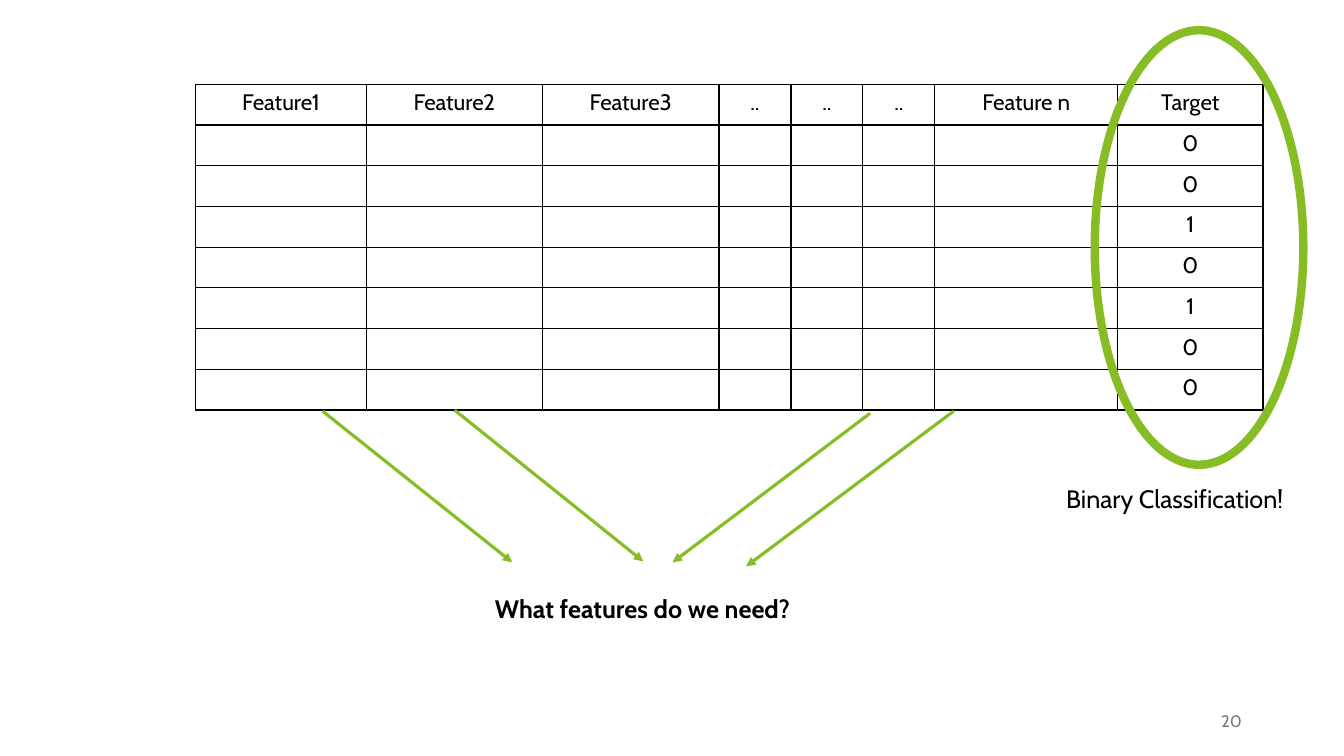
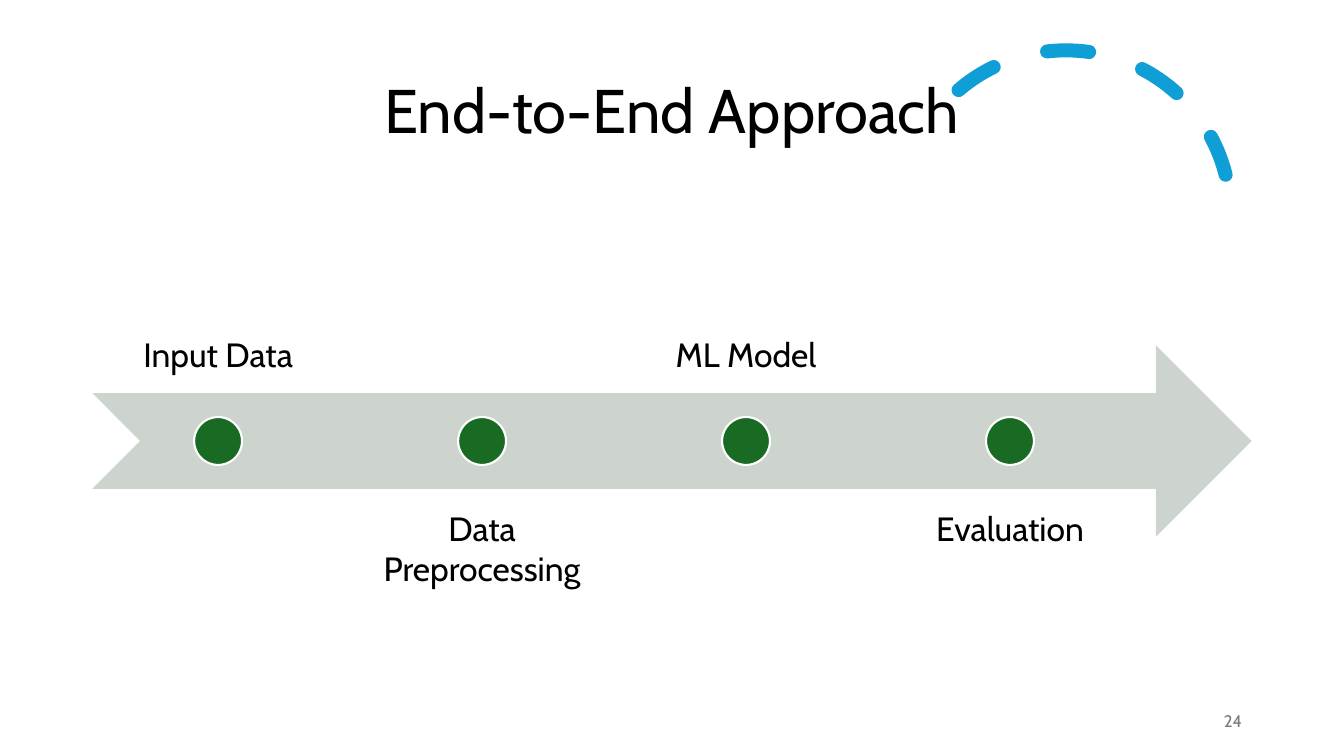
from lxml.etree import SubElement
from pptx import Presentation
from pptx.dml.color import RGBColor
from pptx.enum.dml import MSO_LINE
from pptx.enum.shapes import MSO_CONNECTOR, MSO_SHAPE
from pptx.enum.text import MSO_ANCHOR, PP_ALIGN
from pptx.oxml.ns import qn
from pptx.util import Pt

FONT = "Cabin"
BLACK = RGBColor(0x00, 0x00, 0x00)
WHITE = RGBColor(0xFF, 0xFF, 0xFF)
GREY = RGBColor(0x79, 0x79, 0x79)
LIME = RGBColor(0x86, 0xBD, 0x24)
BLUE = RGBColor(0x0F, 0x9E, 0xD5)
GREEN = RGBColor(0x19, 0x6B, 0x24)
PALE_GREEN = RGBColor(0xCC, 0xD4, 0xCD)

COLUMNS = [("Feature1", 121.8), ("Feature2", 126), ("Feature3", 126),
           ("..", 51.4), ("..", 51.4), ("..", 51.4),
           ("Feature n", 130.6), ("Target", 103.8)]
TARGETS = ["0", "0", "1", "0", "1", "0", "0"]
ROW_HEIGHT = 29.1
ARROWS = [((90.7, 0.7), (226.1, 108.7)), ((541.4, 0.7), (393.1, 111.6)),
          ((185, 0), (319.7, 108)), ((481.7, 2.2), (340.6, 108.7))]
STEPS = ["Input Data", "Data Preprocessing", "ML Model", "Evaluation"]


def style_text(p, size, color=BLACK, align=PP_ALIGN.LEFT, bold=False):
    """Set the alignment and font of a paragraph."""
    p.alignment = align
    p.font.name = FONT
    p.font.size = Pt(size)
    p.font.bold = bold
    p.font.color.rgb = color


def add_text(shapes, box, text, size, anchor=MSO_ANCHOR.TOP, inset=None, spacing=None, **style):
    """Add a wrapped one-paragraph text box."""
    tf = shapes.add_textbox(*map(Pt, box)).text_frame
    tf.word_wrap = True
    tf.vertical_anchor = anchor
    if inset is not None:
        tf.margin_left = tf.margin_top = tf.margin_right = tf.margin_bottom = Pt(inset)
    p = tf.paragraphs[0]
    p.text = text
    style_text(p, size, **style)
    if spacing:
        p.line_spacing = spacing


def add_shape(shapes, kind, box, fill=None, line=None, width=1):
    """Add a preset shape without shadow, with optional fill and line."""
    sp = shapes.add_shape(kind, *map(Pt, box))
    sp.shadow.inherit = False
    if fill is None:
        sp.fill.background()
    else:
        sp.fill.solid()
        sp.fill.fore_color.rgb = fill
    if line is None:
        sp.line.fill.background()
    else:
        sp.line.color.rgb = line
        sp.line.width = Pt(width)
    return sp


def add_arrow(shapes, start, end):
    """Add a lime connector with a triangle at its end."""
    cx = shapes.add_connector(MSO_CONNECTOR.STRAIGHT, *map(Pt, (*start, *end)))
    cx.line.color.rgb = LIME
    cx.line.width = Pt(2.25)
    pr = cx._element.spPr
    SubElement(pr.find(qn("a:ln")), qn("a:tailEnd"), type="triangle")
    SubElement(pr, qn("a:effectLst"))


def border_cell(cell):
    """Draw thin black borders around a cell and clear its fill."""
    pr = cell._tc.get_or_add_tcPr()
    for side in ("lnL", "lnR", "lnT", "lnB"):
        ln = SubElement(pr, qn(f"a:{side}"), w=str(Pt(1)))
        SubElement(SubElement(ln, qn("a:solidFill")), qn("a:srgbClr"), val=str(BLACK))
    cell.fill.background()


def add_feature_table(shapes, left, top):
    """Add the table of features with its target column and return its bottom."""
    rows = [[name for name, _ in COLUMNS]]
    rows += [[""] * (len(COLUMNS) - 1) + [target] for target in TARGETS]
    width = sum(w for _, w in COLUMNS)
    height = ROW_HEIGHT * len(rows)
    table = shapes.add_table(len(rows), len(COLUMNS),
                             *map(Pt, (left, top, width, height))).table
    table.first_row = table.horz_banding = False
    for column, (_, w) in zip(table.columns, COLUMNS):
        column.width = Pt(w)
    for row, texts in zip(table.rows, rows):
        row.height = Pt(ROW_HEIGHT)
        for cell, text in zip(row.cells, texts):
            p = cell.text_frame.paragraphs[0]
            if text:
                p.text = text
            style_text(p, 16, align=PP_ALIGN.CENTER)
            border_cell(cell)
    return top + height


def add_timeline(shapes, left, top, width, height):
    """Add a notched arrow with dots and labels alternating above and below."""
    group = shapes.add_group_shape().shapes
    add_shape(group, MSO_SHAPE.NOTCHED_RIGHT_ARROW,
              (left, top + 0.3 * height, width, 0.4 * height), PALE_GREEN)
    label = 0.9 * width / (len(STEPS) + 0.05 * (len(STEPS) - 1))
    dot = 0.1 * height
    for i, step in enumerate(STEPS):
        x = left + i * 1.05 * label
        below = i % 2 == 1
        add_text(group, (x, top + 0.6 * height * below, label, 0.4 * height), step, 24,
                 anchor=MSO_ANCHOR.TOP if below else MSO_ANCHOR.BOTTOM,
                 inset=13.4, align=PP_ALIGN.CENTER)
        add_shape(group, MSO_SHAPE.OVAL,
                  (x + (label - dot) / 2, top + 0.45 * height, dot, dot), GREEN, WHITE, 1.5)


def add_dashed_arc(shapes, box):
    """Add the blue arc of rounded dashes."""
    arc = add_shape(shapes, MSO_SHAPE.ARC, box, line=BLUE, width=10)
    arc.adjustments[0] = 146.13
    arc.adjustments[1] = 0
    arc.rotation = 345.8
    arc.line.dash_style = MSO_LINE.DASH
    arc._element.spPr.find(qn("a:ln")).set("cap", "rnd")


def new_slide(prs, number):
    """Add a blank slide with its page number."""
    s = prs.slides.add_slide(prs.slide_layouts[6])
    add_text(s.shapes, (678.2, 500.5, 216, 28.8), str(number), 12,
             anchor=MSO_ANCHOR.MIDDLE, color=GREY, align=PP_ALIGN.RIGHT)
    return s


def features_slide(prs):
    """Build the slide on choosing features for a binary target."""
    shapes = new_slide(prs, 20).shapes
    left = 139.8
    bottom = add_feature_table(shapes, left, 60.2)
    add_shape(shapes, MSO_SHAPE.OVAL, (782, 21.6, 149, 310.4), line=LIME, width=6)
    add_text(shapes, (754.4, 342, 204.6, 29), "Binary Classification!", 18)
    for start, end in ARROWS:
        add_arrow(shapes, *((left + x, bottom + y) for x, y in (start, end)))
    add_text(shapes, (346.4, 420, 261.4, 29), "What features do we need?", 18, bold=True)


def approach_slide(prs):
    """Build the slide with the end-to-end timeline."""
    shapes = new_slide(prs, 24).shapes
    add_dashed_arc(shapes, (643.7, 36, 235.4, 235.4))
    add_text(shapes, (66, 28.8, 828, 104.4), "End-to-End Approach", 44,
             anchor=MSO_ANCHOR.MIDDLE, spacing=0.9, align=PP_ALIGN.CENTER)
    add_timeline(shapes, 66, 144, 828, 342)


def main():
    """Build and save the presentation."""
    prs = Presentation()
    prs.slide_width, prs.slide_height = Pt(960), Pt(540)
    features_slide(prs)
    approach_slide(prs)
    prs.save("out.pptx")


if __name__ == "__main__":
    main()
